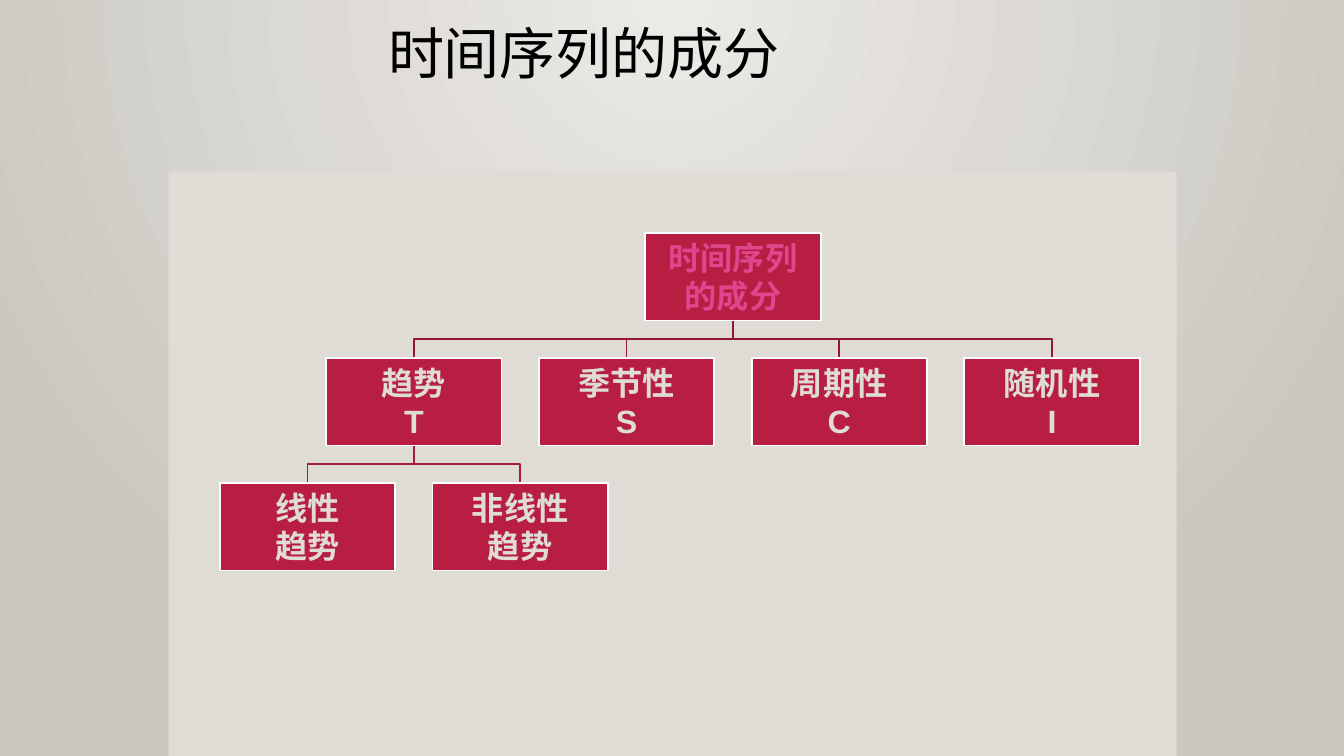
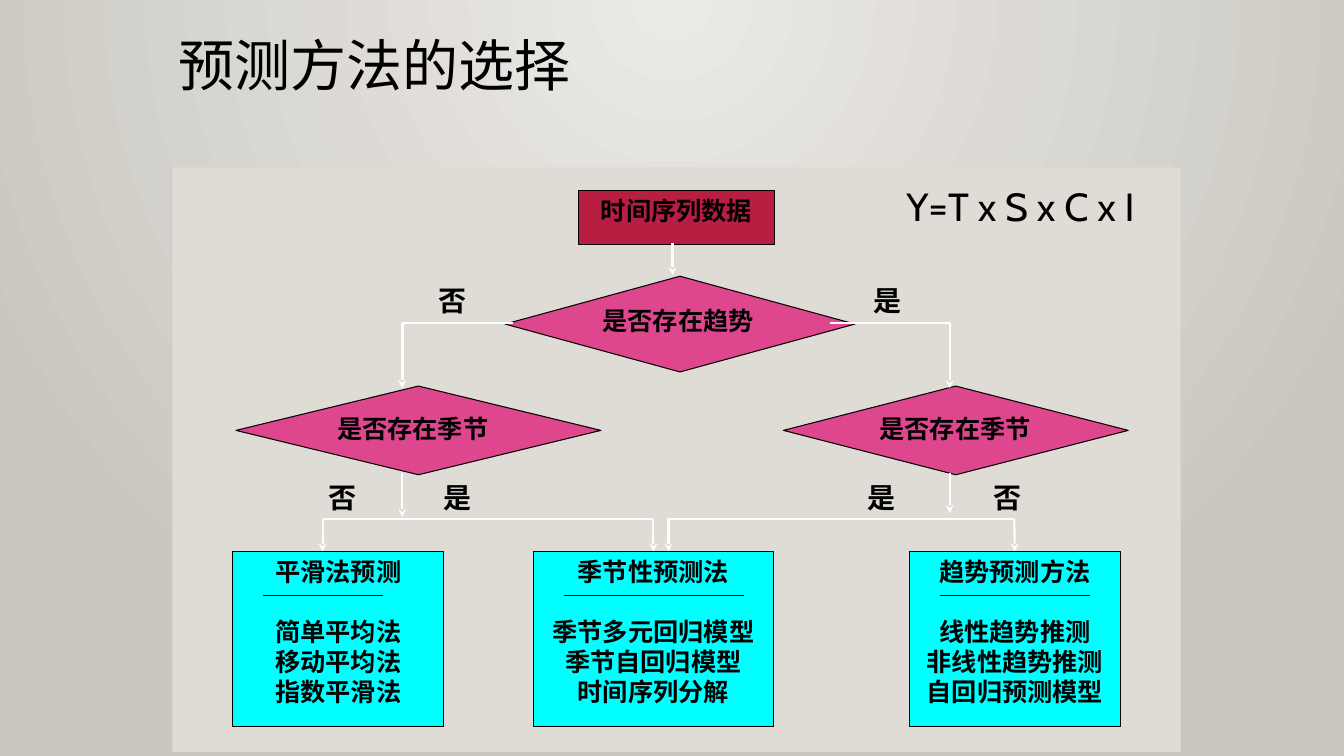
from lxml import etree
from pptx import Presentation
from pptx.dml.color import RGBColor
from pptx.enum.shapes import MSO_CONNECTOR, MSO_SHAPE
from pptx.enum.text import MSO_ANCHOR, PP_ALIGN
from pptx.oxml.ns import qn
from pptx.util import Inches, Pt

STRAIGHT = MSO_CONNECTOR.STRAIGHT
RECT, DIAMOND = MSO_SHAPE.RECTANGLE, MSO_SHAPE.DIAMOND
TOP, MIDDLE = MSO_ANCHOR.TOP, MSO_ANCHOR.MIDDLE
LEFT, CENTER, JUSTIFY = PP_ALIGN.LEFT, PP_ALIGN.CENTER, PP_ALIGN.JUSTIFY

BLACK = RGBColor(0x00, 0x00, 0x00)
WHITE = RGBColor(0xFF, 0xFF, 0xFF)
GLOW = RGBColor(0xEC, 0xEA, 0xE7)
EDGE = RGBColor(0xCA, 0xC7, 0xC1)
PANEL = RGBColor(0xDF, 0xDB, 0xD5)
CRIMSON = RGBColor(0xB7, 0x1E, 0x42)
PINK = RGBColor(0xDE, 0x47, 0x8E)
CYAN = RGBColor(0x00, 0xFF, 0xFF)
BRANCH_COLORS = [RGBColor(0x93, 0x18, 0x35), RGBColor(0xA6, 0x1B, 0x3C)]

TITLE_FONT, TREE_FONT, LETTER_FONT, FLOW_FONT = "Cabin", "Noto Sans CJK SC", "Arial", "Times New Roman"

COMPONENTS = (["时间序列", "的成分"], [
    (["趋势", "T"], [
        (["线性", "趋势"], []),
        (["非线性", "趋势"], []),
    ]),
    (["季节性", "S"], []),
    (["周期性", "C"], []),
    (["随机性", "I"], []),
])
NODE_W, NODE_H = 1.74, 0.87
NODE_PITCH, LEVEL_STEP = 2.11, 1.24
ROOT_CENTER, ROOT_TOP = 7.27, 2.31

DECISIONS = [
    ("是否存在趋势", 5.01, 2.74, 3.47, 0.95),
    ("是否存在季节", 2.34, 3.83, 3.62, 0.88),
    ("是否存在季节", 7.77, 3.83, 3.42, 0.88),
]
ANSWERS = [
    (2.76, [("否", 4.25), ("是", 8.57)]),
    (4.72, [("否", 3.16), ("是", 4.3), ("是", 8.51), ("否", 9.76)]),
]
METHODS = [
    ("平滑法预测", ["简单平均法", "移动平均法", "指数平滑法"], 2.31, 2.09, 1.19),
    ("季节性预测法", ["季节多元回归模型", "季节自回归模型", "时间序列分解"], 5.29, 2.38, 1.79),
    ("趋势预测方法", ["线性趋势推测", "非线性趋势推测", "自回归预测模型"], 9.02, 2.09, 1.49),
]
METHOD_TOP, METHOD_H = 5.47, 1.74
RULE_INSET, RULE_Y = 0.3, 5.91
NO_TREND_X, TREND_X = 3.99, 9.42
TREND_Y, METHOD_BUS_Y = 3.2, 5.15
BUSES = [
    (NO_TREND_X, 5.09, TREND_Y),
    (8.23, TREND_X, TREND_Y),
    (3.2, 6.48, METHOD_BUS_Y),
    (6.63, 10.06, METHOD_BUS_Y),
]
ARROWS = [
    (6.67, 2.41, 2.73, 2),
    (NO_TREND_X, TREND_Y, 3.85, 2),
    (TREND_X, TREND_Y, 3.85, 1.5),
    (NO_TREND_X, 4.69, 5.13, 1.5),
    (TREND_X, 4.69, 5.09, 1.5),
]
METHOD_ARROWS = [(3.2, None), (6.48, 1), (6.63, None), (10.06, 2)]


def write(shape, lines, size, font, color=BLACK, bold=True, align=CENTER, anchor=TOP):
    frame = shape.text_frame
    frame.text = "\n".join(lines)
    frame.word_wrap = True
    frame.vertical_anchor = anchor
    for paragraph in frame.paragraphs:
        paragraph.alignment = align
        for run in paragraph.runs:
            run.font.size = Pt(size)
            run.font.name = font
            run.font.bold = bold
            run.font.color.rgb = color
    return frame


def add_box(slide, kind, x, y, w, h, fill, line=None, weight=0.75):
    box = slide.shapes.add_shape(kind, Inches(x), Inches(y), Inches(w), Inches(h))
    box.shadow.inherit = False
    box.fill.solid()
    box.fill.fore_color.rgb = fill
    if line is None:
        box.line.fill.background()
    else:
        box.line.color.rgb = line
        box.line.width = Pt(weight)
    return box


def add_label(slide, text, x, y, w, h, size, font, **style):
    label = slide.shapes.add_textbox(Inches(x), Inches(y), Inches(w), Inches(h))
    return write(label, [text], size, font, **style)


def add_line(slide, x1, y1, x2, y2, color=WHITE, weight=1.5, arrow=False):
    line = slide.shapes.add_connector(STRAIGHT, Inches(x1), Inches(y1), Inches(x2), Inches(y2))
    line.line.color.rgb = color
    line.line.width = Pt(weight)
    properties = line.element.spPr
    if arrow:
        etree.SubElement(properties.find(qn("a:ln")), qn("a:tailEnd"), type="stealth")
    etree.SubElement(properties, qn("a:effectLst"))
    return line


def set_background(master):
    fill = master.background.fill
    fill.gradient()
    for stop, color in zip(fill.gradient_stops, (GLOW, EDGE)):
        stop.color.rgb = color
    gradient = master.element.find(".//" + qn("a:gradFill"))
    linear = gradient.find(qn("a:lin"))
    circle = etree.Element(qn("a:path"), path="circle")
    etree.SubElement(circle, qn("a:fillToRect"), l="43000", t="0", r="43000", b="100000")
    gradient.replace(linear, circle)


def add_slide(prs, title, title_at, title_font, panel_at):
    slide = prs.slides.add_slide(prs.slide_layouts[6])
    add_box(slide, RECT, *panel_at, 10, 5.8, PANEL)
    frame = add_label(slide, title, *title_at, 1.25, 40, title_font, bold=False, align=LEFT)
    frame.paragraphs[0].line_spacing = 0.9
    return slide


def add_branch(slide, x1, y1, x2, y2, color):
    middle = (y1 + y2) / 2
    points = [(Inches(x), Inches(y)) for x, y in ((x1, middle), (x2, middle), (x2, y2))]
    builder = slide.shapes.build_freeform(Inches(x1), Inches(y1))
    builder.add_line_segments(points, close=False)
    branch = builder.convert_to_shape()
    branch.shadow.inherit = False
    branch.fill.background()
    branch.line.color.rgb = color
    branch.line.width = Pt(1.25)


def add_node(slide, node, center, top, level=0):
    lines, children = node
    for i, child in enumerate(children):
        child_center = center + (i - (len(children) - 1) / 2) * NODE_PITCH
        child_top = top + LEVEL_STEP
        add_branch(slide, center, top + NODE_H, child_center, child_top, BRANCH_COLORS[level])
        add_node(slide, child, child_center, child_top, level + 1)
    box = add_box(slide, RECT, center - NODE_W / 2, top, NODE_W, NODE_H, CRIMSON, WHITE, 1.25)
    frame = write(box, lines, 23, TREE_FONT, PANEL if level else PINK, anchor=MIDDLE)
    frame.margin_left = frame.margin_right = frame.margin_top = frame.margin_bottom = Inches(0.02)
    for paragraph in frame.paragraphs:
        if paragraph.text.isascii():
            paragraph.runs[0].font.name = LETTER_FONT


def build_components(prs):
    slide = add_slide(prs, "时间序列的成分", (3.75, 0.21, 7.42), TITLE_FONT, (1.67, 1.7))
    add_node(slide, COMPONENTS, ROOT_CENTER, ROOT_TOP)


def add_method(slide, heading, methods, x, w, rule_w):
    card = add_box(slide, RECT, x, METHOD_TOP, w, METHOD_H, CYAN, BLACK)
    frame = write(card, [heading, *methods], 18, FLOW_FONT)
    frame.paragraphs[1].space_before = Pt(21)
    rule_x = x + RULE_INSET
    add_line(slide, rule_x, RULE_Y, rule_x + rule_w, RULE_Y, BLACK, 0.75)
    return card


def build_selection(prs):
    slide = add_slide(prs, "预测方法的选择", (1.67, 0.33, 9.89), LETTER_FONT, (1.71, 1.66))
    data = add_box(slide, RECT, 5.74, 1.89, 1.94, 0.54, CRIMSON, BLACK)
    write(data, ["时间序列数据"], 18, FLOW_FONT)
    for question, *place in DECISIONS:
        decision = add_box(slide, DIAMOND, *place, PINK, BLACK)
        write(decision, [question], 18, FLOW_FONT, align=JUSTIFY)
    for y, answers in ANSWERS:
        for answer, x in answers:
            add_label(slide, answer, x, y, 0.6, 0.44, 20, FLOW_FONT, align=JUSTIFY)
    cards = [add_method(slide, *method) for method in METHODS]
    for x1, x2, y in BUSES:
        add_line(slide, x1, y, x2, y)
    for x, y1, y2, weight in ARROWS:
        add_line(slide, x, y1, x, y2, weight=weight, arrow=True)
    for x, target in METHOD_ARROWS:
        arrow = add_line(slide, x, METHOD_BUS_Y, x, METHOD_TOP, arrow=True)
        if target is not None:
            arrow.end_connect(cards[target], 0)
    add_label(slide, "Y=T x S x C x I", 8.89, 1.76, 3.01, 0.57, 28, TITLE_FONT, bold=False, align=LEFT)


def main():
    prs = Presentation()
    prs.slide_width, prs.slide_height = Inches(13.33), Inches(7.5)
    set_background(prs.slide_master)
    build_components(prs)
    build_selection(prs)
    prs.save("out.pptx")


if __name__ == "__main__":
    main()
